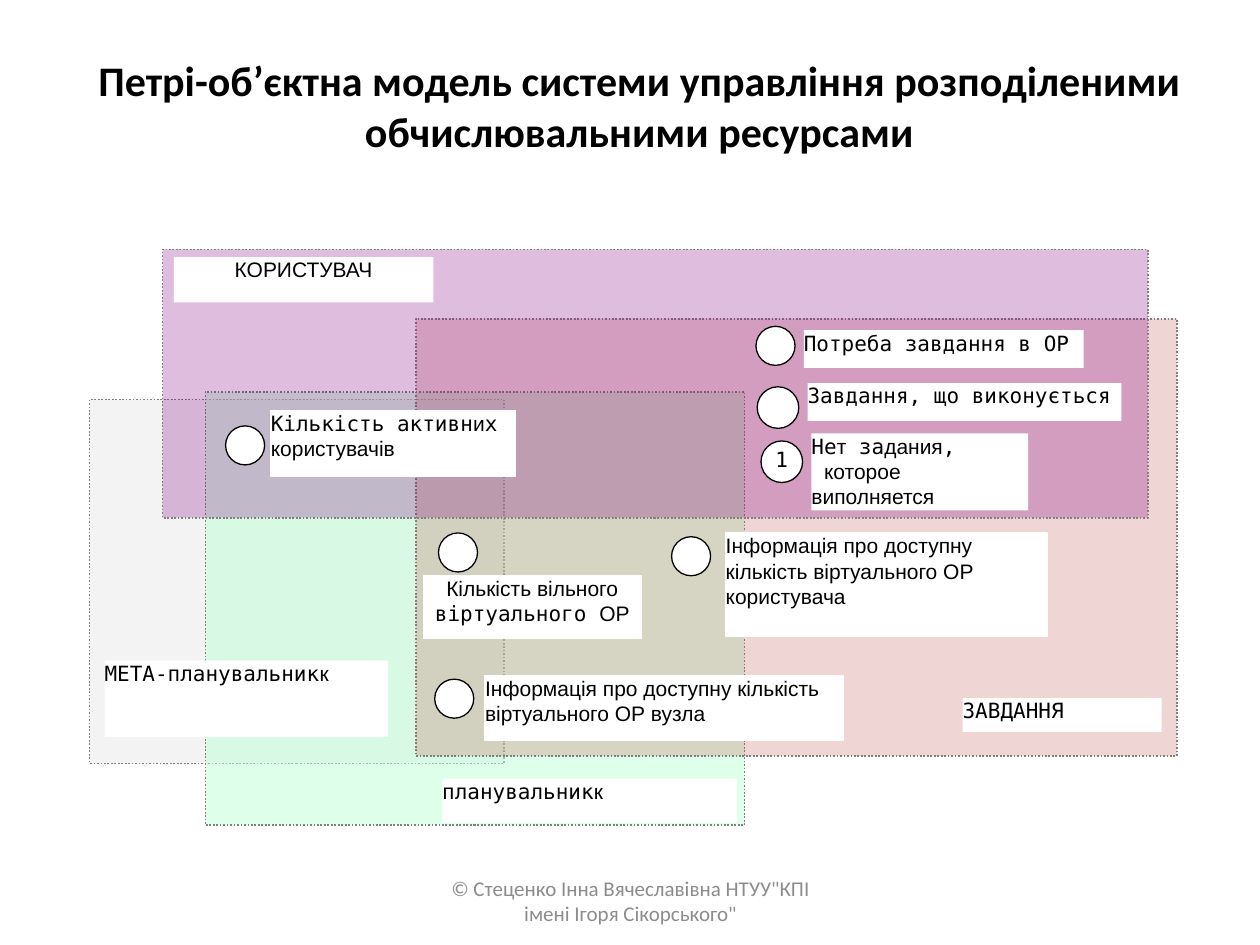
from lxml.etree import SubElement
from pptx import Presentation
from pptx.dml.color import RGBColor
from pptx.enum.dml import MSO_LINE
from pptx.enum.shapes import MSO_SHAPE
from pptx.enum.text import MSO_ANCHOR, PP_ALIGN
from pptx.oxml.ns import qn
from pptx.util import Inches, Pt

HUES = {"ink": "000000", "paper": "FFFFFF", "edge": "808080", "note": "8C8C8C",
        "meta": "EAEAEA", "plan": "BFFFD4", "task": "C0504D", "user": "800080"}
MONO, SANS, HEAD = "DejaVu Sans Mono", "Arial", "Calibri"
COLS, ROWS = 100, 75


def hue(name):
    return RGBColor.from_string(HUES[name])


class Board:
    """Draws on one slide; places are (column, row, columns, rows)."""

    def __init__(self, deck):
        self.slide = deck.slides.add_slide(deck.slide_layouts[5])
        self.col = deck.slide_width / COLS
        self.row = deck.slide_height / ROWS

    def scale(self, at):
        x, y, w, h = at
        return [round(n) for n in (x * self.col, y * self.row, w * self.col, h * self.row)]

    def run(self, para, text, font, size=12, color="ink", bold=False):
        run = para.add_run()
        run.text = text
        run.font.name, run.font.size, run.font.bold = font, Pt(size), bold
        run.font.color.rgb = hue(color)

    def mix(self, shape, lines, align):
        """Each bar in a line switches between the mono and the sans font."""
        frame = shape.text_frame
        frame.word_wrap = True
        frame.vertical_anchor = MSO_ANCHOR.TOP
        frame.margin_left = frame.margin_right = frame.margin_top = frame.margin_bottom = 0
        for i, line in enumerate(lines):
            para = frame.add_paragraph() if i else frame.paragraphs[0]
            para.alignment = align
            for j, part in enumerate(line.split("|")):
                if part:
                    self.run(para, part, SANS if j % 2 else MONO)

    def form(self, kind, at, fill="paper", line=None, width=0.75):
        shape = self.slide.shapes.add_shape(kind, *self.scale(at))
        shape.shadow.inherit = False
        shape.fill.solid()
        shape.fill.fore_color.rgb = hue(fill)
        if line:
            shape.line.color.rgb = hue(line)
            shape.line.width = Pt(width)
        else:
            shape.line.fill.background()
        return shape

    def zone(self, at, fill, share):
        """Dotted rectangle, opaque to the given percentage."""
        shape = self.form(MSO_SHAPE.RECTANGLE, at, fill, "edge", 1)
        shape.line.dash_style = MSO_LINE.ROUND_DOT
        tint = shape.fill._xPr.find(qn("a:solidFill"))[0]
        SubElement(tint, qn("a:alpha")).set("val", str(share * 1000))

    def label(self, at, *lines, align=PP_ALIGN.LEFT, line=None):
        self.mix(self.form(MSO_SHAPE.RECTANGLE, at, line=line), lines, align)

    def place(self, x, y, size=3.1, mark=None):
        """Petri-net place, with an optional token count."""
        shape = self.form(MSO_SHAPE.OVAL, (x, y, size, size), line="ink")
        if mark:
            self.mix(shape, [mark], PP_ALIGN.CENTER)

    def line(self, shape, text, size, color="ink", bold=False):
        """Centred Calibri text."""
        frame = shape.text_frame
        frame.word_wrap = True
        frame.vertical_anchor = MSO_ANCHOR.MIDDLE
        para = frame.paragraphs[0]
        para.alignment = PP_ALIGN.CENTER
        self.run(para, text, HEAD, size, color, bold)

    def title(self, at, text):
        shape = self.slide.shapes.title
        shape.left, shape.top, shape.width, shape.height = self.scale(at)
        self.line(shape, text, 24, bold=True)

    def foot(self, at, text):
        self.line(self.slide.shapes.add_textbox(*self.scale(at)), text, 12, "note")


def main():
    deck = Presentation()
    deck.slide_width, deck.slide_height = Inches(10), Inches(7.5)
    board = Board(deck)
    board.title((3.1, 4.4, 95.3, 7.9),
                "Петрі-об’єктна модель системи управління розподіленими обчислювальними ресурсами")

    for at, fill, share in [((7.1, 31.7, 32.9, 28.9), "meta", 56),
                            ((16.3, 31.1, 42.8, 34.4), "plan", 50),
                            ((33, 25.3, 60.4, 34.7), "task", 24),
                            ((12.9, 19.8, 78.2, 21.3), "user", 26)]:
        board.zone(at, fill, share)

    board.label((13.8, 20.4, 20.6, 3.6), "|КОРИСТУВАЧ", align=PP_ALIGN.CENTER)
    board.label((8.3, 52.4, 22.5, 6.1), "МЕТА-планувальник|к")
    board.label((35.1, 61.8, 23.4, 3.5), "планувальник|к")
    board.label((76.4, 55.4, 15.8, 2.7), "ЗАВДАННЯ")

    board.label((63.8, 26.2, 22.2, 3), "Потреба завдання в ОР")
    board.label((64.1, 30.4, 24.9, 3), "Завдання, що виконується")
    board.label((64.4, 34.4, 17.2, 6.1), "Не|т| за|дания|,", " |которое виполняется")
    board.label((21.5, 32.6, 19.4, 5.2), "Кількість активн|и|х |користувачів", line="paper")
    board.label((33.6, 45.7, 17.3, 5), "|Кількість вільного |віртуального |ОР",
                align=PP_ALIGN.CENTER, line="paper")
    board.label((57.6, 42.3, 25.5, 8.2),
                "|Інформація про доступну кількість віртуального ОР користувача", line="paper")
    board.label((38.5, 53.6, 28.4, 5.2),
                "|Інформація про доступну кількість віртуального ОР вузла", line="paper")

    for x, y in [(17.9, 33.8), (34.8, 42.3), (53.3, 42.6), (60, 25.9), (34.5, 53.9)]:
        board.place(x, y)
    board.place(60.1, 30.7, 3.3)
    board.place(60.4, 35, 3.3, "1")

    board.foot((34.2, 69.5, 31.7, 4),
               "© Стеценко Інна Вячеславівна НТУУ\"КПІ імені Ігоря Сікорського\"")
    deck.save("out.pptx")


if __name__ == "__main__":
    main()
